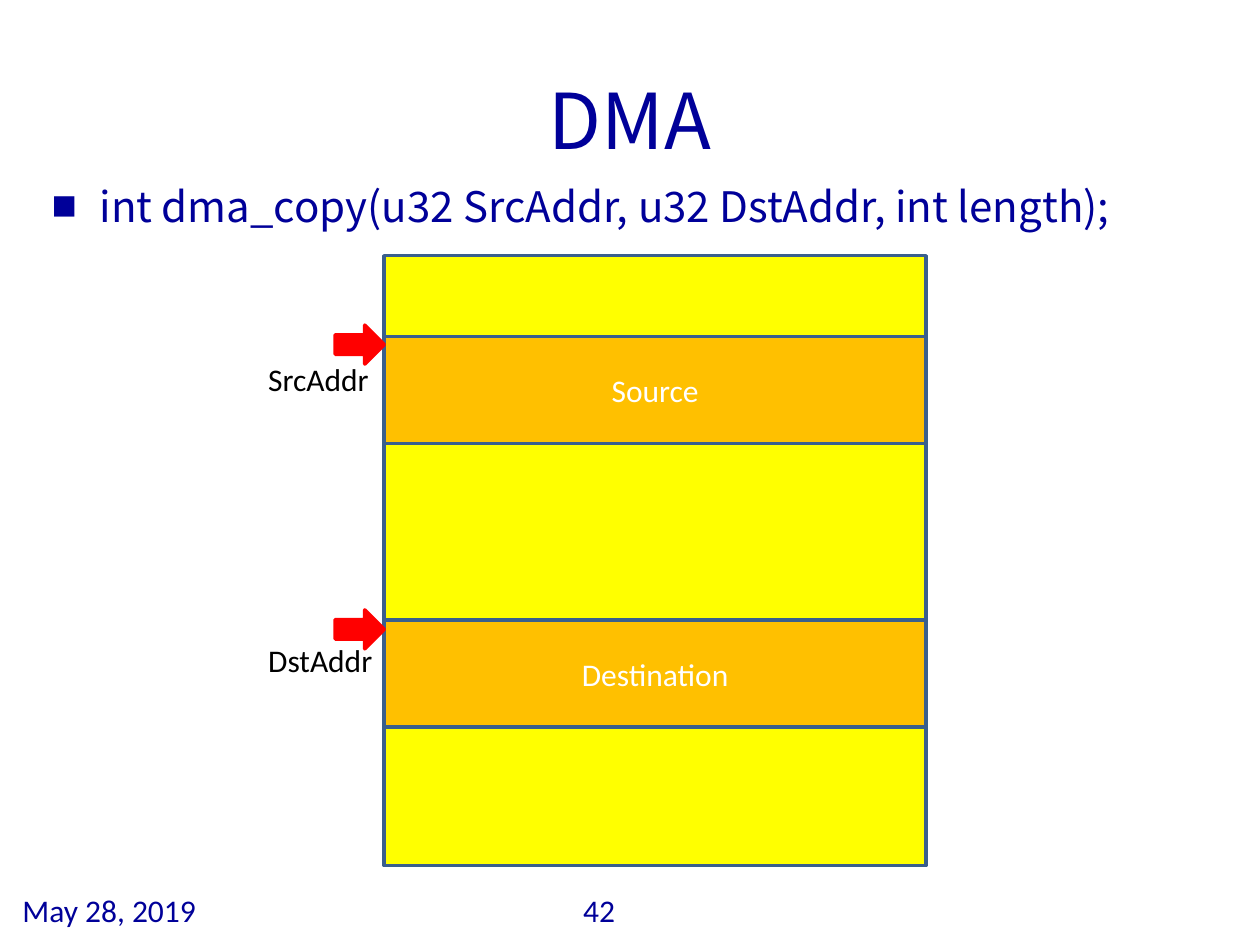
from lxml import etree
from pptx import Presentation
from pptx import util as u
from pptx.dml.color import RGBColor
from pptx.enum import shapes, text
from pptx.oxml import ns

PX = 9144  # EMU per px, 100 px to the inch
COLORS = {
    "navy": "000099", "black": "000000", "white": "FFFFFF", "yellow": "FFFF00",
    "orange": "FFC000", "red": "FF0000", "border": "3A5F8C",
}
HEAD_FONT, BODY_FONT = "Noto Sans CJK SC", "Calibri"


class SlideBuilder:
    """Holds the style and the current slide."""

    def __init__(self, prs):
        self.slide = prs.slides.add_slide(prs.slide_layouts[1])

    def color(self, name):
        return RGBColor.from_string(COLORS[name])

    def format(self, p, size, color, font):
        for r in p.runs:
            r.font.size = u.Pt(size)
            r.font.name = font
            r.font.color.rgb = self.color(color)

    def place(self, sp, box):
        sp.left, sp.top, sp.width, sp.height = (v * PX for v in box)

    def title(self, words, box):
        sp = self.slide.shapes.title
        self.place(sp, box)
        tf = sp.text_frame
        tf.text = words
        tf.vertical_anchor = text.MSO_ANCHOR.MIDDLE
        tf.paragraphs[0].alignment = text.PP_ALIGN.CENTER
        self.format(tf.paragraphs[0], 44, "navy", HEAD_FONT)

    def bullet(self, words, box):
        sp = self.slide.placeholders[1]
        self.place(sp, box)
        tf = sp.text_frame
        tf.text = words
        p = tf.paragraphs[0]
        pPr = p._p.get_or_add_pPr()
        pPr.set("marL", str(38 * PX))
        pPr.set("indent", str(-38 * PX))
        etree.SubElement(pPr, ns.qn("a:buFont"), typeface="Arial")
        etree.SubElement(pPr, ns.qn("a:buChar"), char="■")
        p.space_before = u.Pt(0)
        self.format(p, 24, "navy", HEAD_FONT)

    def label(self, lines, box, color, gap=0):
        """Add a text box whose lines are gap points apart."""
        tf = self.slide.shapes.add_textbox(*(v * PX for v in box)).text_frame
        tf.word_wrap = True
        tf.text = "\n".join(lines)
        for i, p in enumerate(tf.paragraphs):
            if i:
                p.space_before = u.Pt(gap)
            self.format(p, 18, color, BODY_FONT)

    def shape(self, kind, box, fill, line, words=""):
        sp = self.slide.shapes.add_shape(kind, *(v * PX for v in box))
        sp.shadow.inherit = False
        sp.fill.solid()
        sp.fill.fore_color.rgb = self.color(fill)
        sp.line.color.rgb = self.color(line)
        sp.line.width = u.Pt(2)
        if words:
            tf = sp.text_frame
            tf.text = words
            tf.vertical_anchor = text.MSO_ANCHOR.MIDDLE
            tf.paragraphs[0].alignment = text.PP_ALIGN.CENTER
            self.format(tf.paragraphs[0], 18, "white", BODY_FONT)


def main():
    prs = Presentation()
    prs.slide_width, prs.slide_height = 1000 * PX, 750 * PX
    s = SlideBuilder(prs)
    s.label(["42"], (453, 702, 55, 40), "navy")
    s.label(["May 28, 2019"], (8, 702, 313, 40), "navy")
    s.title("DMA", (50, 40, 900, 108))
    s.bullet("int dma_copy(u32 SrcAddr, u32 DstAddr, int length);", (31, 138, 930, 495))

    rect, arrow = shapes.MSO_SHAPE.RECTANGLE, shapes.MSO_SHAPE.RIGHT_ARROW
    memory_x, memory_w = 305, 430
    s.shape(rect, (memory_x, 203, memory_w, 484), "yellow", "border")
    for name, top in (("Source", 267), ("Destination", 492)):
        s.shape(rect, (memory_x, top, memory_w, 85), "orange", "border", name)
    s.label(["SrcAddr", "DstAddr"], (203, 281, 109, 266), "black", gap=139)
    for top in (258, 484):
        s.shape(arrow, (memory_x - 39, top, 39, 31), "red", "red")
    prs.save("out.pptx")


if __name__ == "__main__":
    main()
